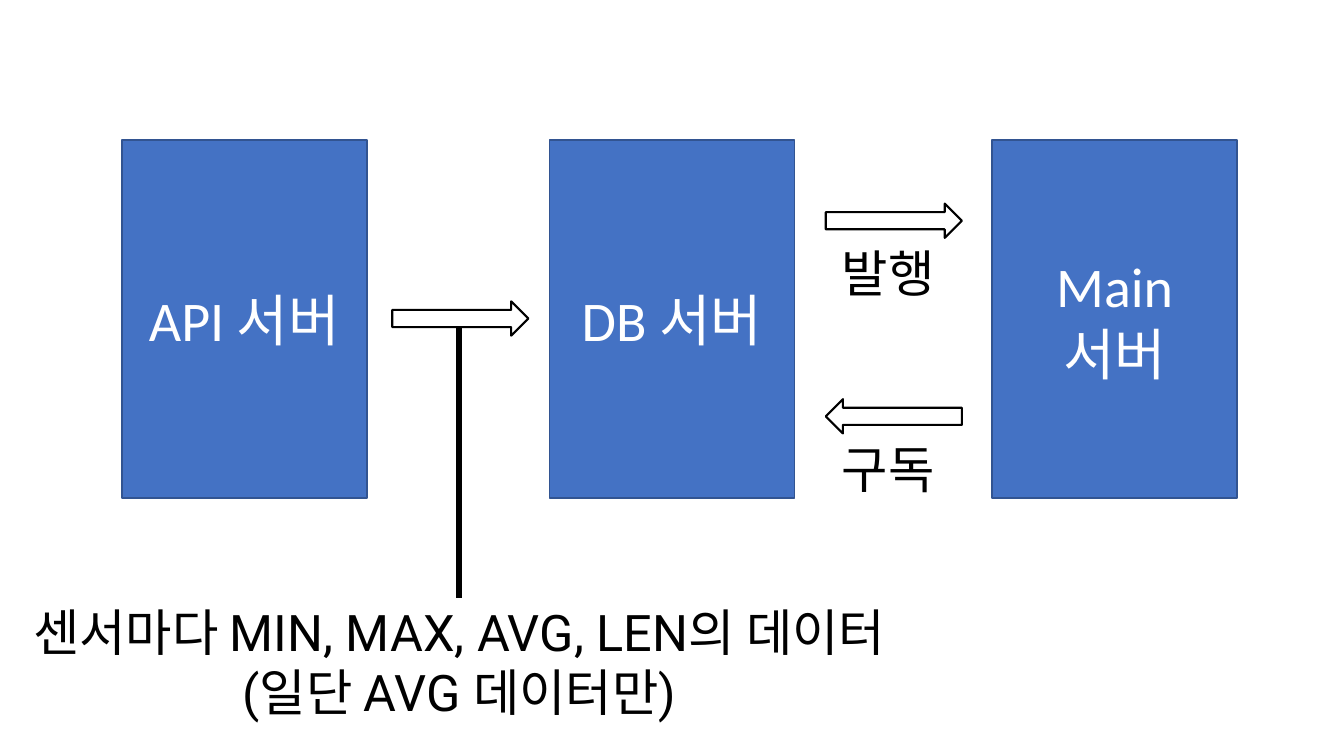
from pptx import Presentation
from pptx.dml.color import RGBColor
from pptx.enum.shapes import MSO_CONNECTOR, MSO_SHAPE
from pptx.enum.text import MSO_ANCHOR, MSO_AUTO_SIZE, PP_ALIGN
from pptx.oxml.ns import qn
from pptx.util import Inches, Pt

RECTANGLE = MSO_SHAPE.RECTANGLE
RIGHT_ARROW = MSO_SHAPE.RIGHT_ARROW
STRAIGHT = MSO_CONNECTOR.STRAIGHT
MIDDLE = MSO_ANCHOR.MIDDLE
GROW = MSO_AUTO_SIZE.SHAPE_TO_FIT_TEXT
LEFT, CENTER = PP_ALIGN.LEFT, PP_ALIGN.CENTER

COLORS = {"server": "4472C4", "edge": "325491", "light": "FFFFFF", "ink": "000000"}

SERVERS = [("API 서버", 1.21), ("DB 서버", 5.45), ("Main 서버", 9.84)]
SERVER_TOP, SERVER_SIZE = 1.39, (2.43, 3.55)

ARROWS = [(8.19, 3.96, 180), (8.19, 2.02, 0), (3.89, 2.99, 0)]
ARROW_SIZE = (1.35, 0.34)

LABELS = [
    (["구독"], (8.25, 4.3, 1.21, 0.71), LEFT),
    (["발행"], (8.25, 2.35, 1.21, 0.71), LEFT),
    (
        ["센서마다 MIN, MAX, AVG, LEN의 데이터", "(일단 AVG 데이터만)"],
        (-0.09, 5.91, 9.29, 1.31),
        CENTER,
    ),
]
NOTE_LINE = (4.55, 3.24, 4.55, 5.93)


def color(name):
    """Return the named palette colour."""
    return RGBColor.from_string(COLORS[name])


def write(shape, lines, size, font_name, color_name, alignment):
    """Fill a shape with formatted paragraphs."""
    text_frame = shape.text_frame
    text_frame.text = "\n".join(lines)
    for paragraph in text_frame.paragraphs:
        paragraph.alignment = alignment
        for run in paragraph.runs:
            run.font.size = Pt(size)
            run.font.name = font_name
            run.font.color.rgb = color(color_name)


def add_block(slide, kind, box, fill, edge, width):
    """Add a flat filled and outlined shape."""
    shape = slide.shapes.add_shape(kind, *map(Inches, box))
    shape.shadow.inherit = False
    shape.fill.solid()
    shape.fill.fore_color.rgb = color(fill)
    shape.line.color.rgb = color(edge)
    shape.line.width = Pt(width)
    return shape


def add_label(slide, lines, box, alignment):
    """Add an unwrapped text label."""
    label = slide.shapes.add_textbox(*map(Inches, box))
    label.text_frame.word_wrap = False
    label.text_frame.auto_size = GROW
    write(label, lines, 36, "Roboto", "ink", alignment)


def add_note_line(slide):
    """Add the line joining the arrow to its note."""
    line = slide.shapes.add_connector(STRAIGHT, *map(Inches, NOTE_LINE))
    line.line.color.rgb = color("ink")
    line.line.width = Pt(4.5)
    properties = line._element.spPr
    properties.append(properties.makeelement(qn("a:effectLst"), {}))


def main():
    """Build and save the server diagram."""
    presentation = Presentation()
    presentation.slide_width = Inches(13.33)
    presentation.slide_height = Inches(7.5)
    slide = presentation.slides.add_slide(presentation.slide_layouts[6])

    for name, left in SERVERS:
        box = (left, SERVER_TOP, *SERVER_SIZE)
        server = add_block(slide, RECTANGLE, box, "server", "edge", 1)
        server.text_frame.vertical_anchor = MIDDLE
        server.text_frame.word_wrap = True
        write(server, [name], 40, "Calibri", "light", CENTER)

    add_note_line(slide)
    for left, top, rotation in ARROWS:
        box = (left, top, *ARROW_SIZE)
        arrow = add_block(slide, RIGHT_ARROW, box, "light", "ink", 1.5)
        arrow.rotation = rotation

    for lines, box, alignment in LABELS:
        add_label(slide, lines, box, alignment)

    presentation.save("out.pptx")


if __name__ == "__main__":
    main()
